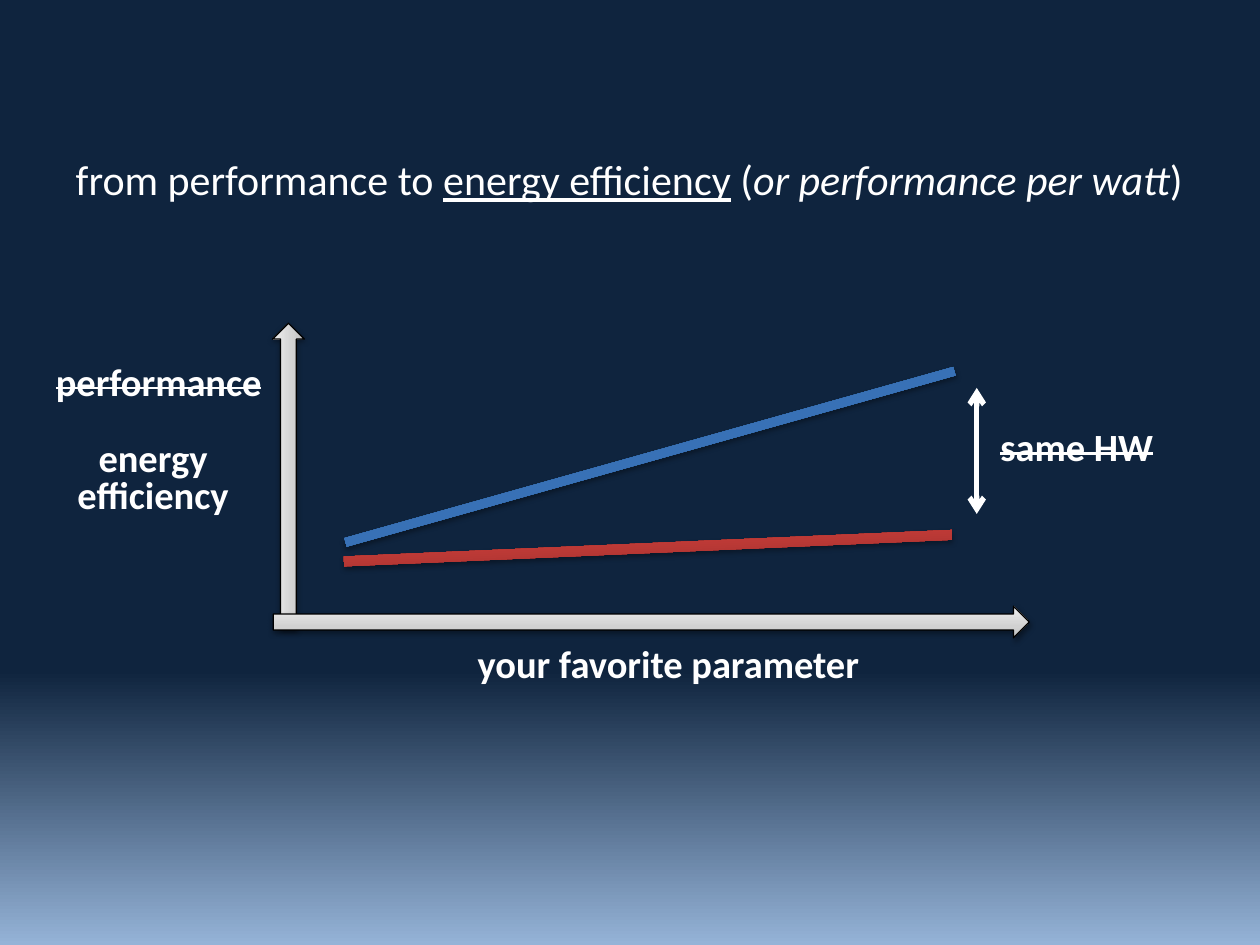
from copy import deepcopy

from lxml.etree import SubElement
from pptx import Presentation
from pptx.dml.color import RGBColor
from pptx.enum.shapes import MSO_CONNECTOR, MSO_SHAPE
from pptx.enum.text import MSO_ANCHOR, MSO_AUTO_SIZE, PP_ALIGN
from pptx.oxml.ns import qn
from pptx.util import Cm, Pt

WHITE, BLACK = "FFFFFF", "000000"
SKY = [(0.71, "0F243E"), (1, "95B3D7")]
GREY = [(0, "BDBDBD"), (0.35, "D1D1D1"), (1, "EEEEEE")]
BLUE = [(0, "2F5F99"), (0.8, "3D7CC7"), (1, "3A7CCB")]
RED = [(0, "9C2F2D"), (0.8, "CB3E3A"), (1, "CE3B37")]


def rgb(value):
    return RGBColor.from_string(value)


def fill_gradient(fill, owner, stops, angle):
    """Fill with any number of colour stops; the angle runs counter-clockwise."""
    fill.gradient()
    fill.gradient_angle = angle
    stop_list = next(owner.iter(qn("a:gsLst")))
    while len(stop_list) < len(stops):
        stop_list.append(deepcopy(stop_list[-1]))
    for stop, (position, color) in zip(fill.gradient_stops, stops):
        stop.position = position
        stop.color.rgb = rgb(color)


def add_shadow(shape, opacity, distance):
    shape.shadow.inherit = False
    effects = shape.element.spPr.find(qn("a:effectLst"))
    shadow = SubElement(effects, qn("a:outerShdw"), blurRad=str(Pt(3.1)),
                        dist=str(Pt(distance)), dir="5400000", rotWithShape="0")
    color = SubElement(shadow, qn("a:srgbClr"), val=BLACK)
    SubElement(color, qn("a:alpha"), val=str(opacity * 1000))


def add_bar(slide, preset, box, rotation, stops):
    bar = slide.shapes.add_shape(preset, *map(Cm, box))
    bar.rotation = rotation
    fill_gradient(bar.fill, bar.element, stops, 90)
    return bar


def add_axis(slide, box, rotation=0):
    axis = add_bar(slide, MSO_SHAPE.RIGHT_ARROW, box, rotation, GREY)
    axis.line.color.rgb = rgb(BLACK)
    axis.line.width = Pt(0.75)
    add_shadow(axis, 38, 1.6)


def add_trend(slide, box, rotation, stops):
    trend = add_bar(slide, MSO_SHAPE.RECTANGLE, box, rotation, stops)
    trend.line.fill.background()
    add_shadow(trend, 35, 1.8)


def add_double_arrow(slide, x, top, bottom):
    gap = slide.shapes.add_connector(MSO_CONNECTOR.STRAIGHT,
                                     Cm(x), Cm(top), Cm(x), Cm(bottom))
    gap.line.color.rgb = rgb(WHITE)
    gap.line.width = Pt(3)
    properties = gap.element.spPr
    for end in ("a:headEnd", "a:tailEnd"):
        SubElement(properties.find(qn("a:ln")), qn(end), type="arrow")
    SubElement(properties, qn("a:effectLst"))


def add_run(paragraph, text, size, **styles):
    run = paragraph.add_run()
    run.text = text
    run.font.name = "Calibri"
    run.font.size = Pt(size)
    run.font.color.rgb = rgb(WHITE)
    for style, value in styles.items():
        setattr(run.font, style, value)
    return run


def add_label(slide, box, lines, strike=False, spacing=None):
    frame = slide.shapes.add_textbox(*map(Cm, box)).text_frame
    frame.word_wrap = False
    frame.auto_size = MSO_AUTO_SIZE.SHAPE_TO_FIT_TEXT
    for index, line in enumerate(lines):
        paragraph = frame.add_paragraph() if index else frame.paragraphs[0]
        paragraph.alignment = PP_ALIGN.CENTER
        paragraph.line_spacing = spacing
        run = add_run(paragraph, line, 22, bold=True)
        if strike:
            run._r.get_or_add_rPr().set("strike", "sngStrike")


def set_title(slide):
    title = slide.shapes.title
    title.left, title.top, title.width, title.height = map(
        Cm, (1.14, 2.97, 23.09, 1.27))
    frame = title.text_frame
    frame.word_wrap = False
    frame.auto_size = MSO_AUTO_SIZE.NONE
    frame.vertical_anchor = MSO_ANCHOR.TOP
    paragraph = frame.paragraphs[0]
    paragraph.alignment = PP_ALIGN.CENTER
    add_run(paragraph, "from performance to ", 24)
    add_run(paragraph, "energy efficiency", 24, underline=True)
    add_run(paragraph, " (", 24)
    add_run(paragraph, "or performance per watt", 24, italic=True)
    add_run(paragraph, ")", 24)


def main():
    deck = Presentation()
    deck.slide_width, deck.slide_height = Cm(25.4), Cm(19.05)
    slide = deck.slides.add_slide(deck.slide_layouts[5])
    fill_gradient(slide.background.fill, slide.element, SKY, 270)
    set_title(slide)

    # Axes
    add_axis(slide, (2.74, 9.27, 6.15, 0.64), rotation=270)
    add_axis(slide, (5.51, 12.22, 15.24, 0.64))

    # Trends and the gap between them
    add_trend(slide, (6.73, 9.12, 12.75, 0.18), 344.3, BLUE)
    add_trend(slide, (6.93, 10.95, 12.27, 0.2), 357.5, RED)
    add_double_arrow(slide, 19.69, 7.82, 10.36)

    # Labels
    add_label(slide, (19.89, 8.41, 3.63, 1.19), ["same HW"], strike=True)
    add_label(slide, (0.84, 7.09, 4.72, 1.19), ["performance"], strike=True)
    add_label(slide, (9.32, 12.78, 8.31, 1.19), ["your favorite parameter"])
    add_label(slide, (1.27, 8.81, 3.63, 1.78), ["energy", "efficiency"],
              spacing=0.8)

    deck.save("out.pptx")


if __name__ == "__main__":
    main()
